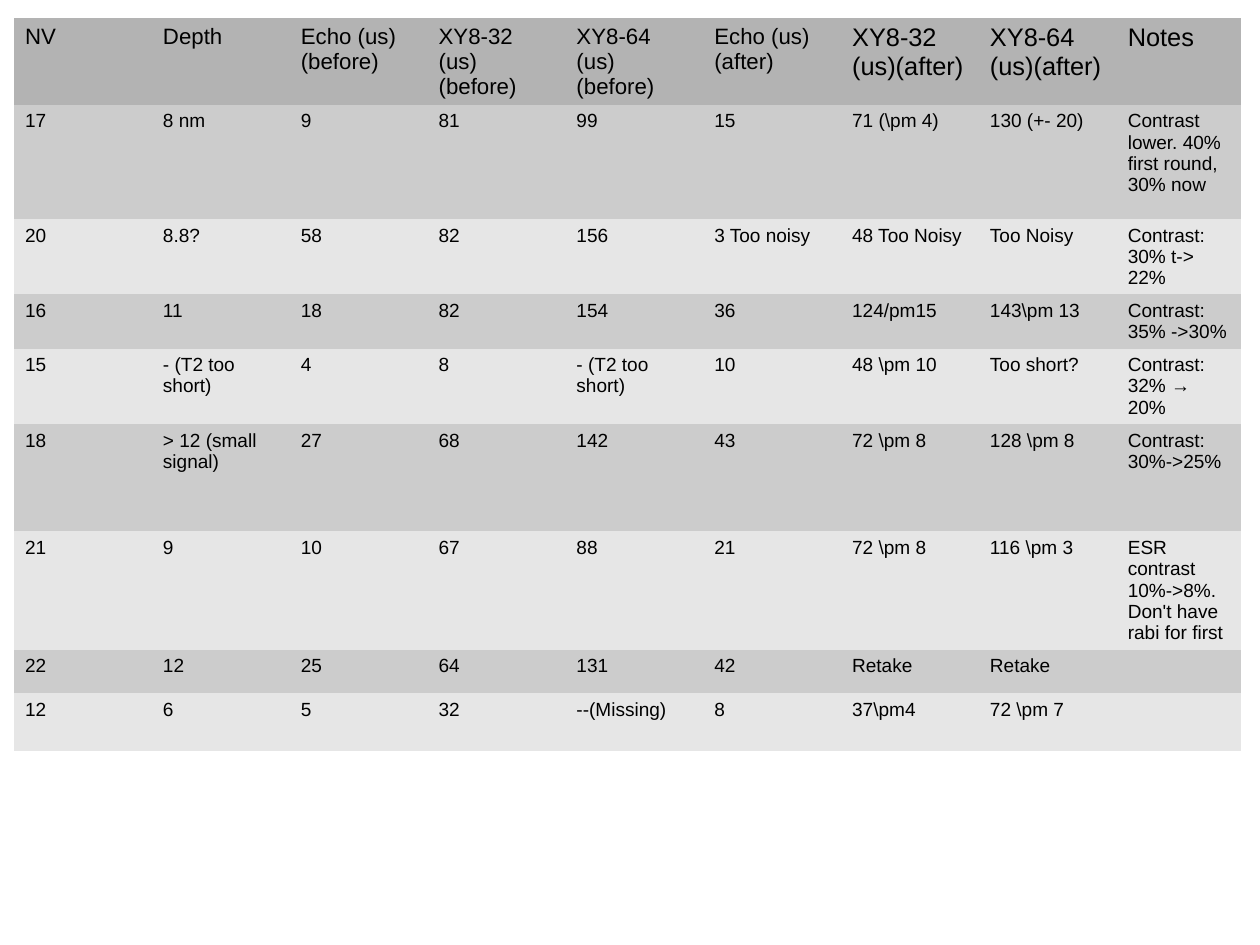
from pptx import Presentation as Deck
from pptx.dml.color import RGBColor as Rgb
from pptx.oxml.ns import qn
from pptx.util import Cm, Inches, Pt

HEADS = ["NV", "Depth", "Echo (us)(before)", "XY8-32 (us)(before)",
         "XY8-64 (us)(before)", "Echo (us)(after)", "XY8-32 (us)(after)",
         "XY8-64 (us)(after)", "Notes"]
SPINS = [
    ["17", "8 nm", "9", "81", "99", "15", r"71 (\pm 4)", "130 (+- 20)",
     "Contrast lower. 40% first round, 30% now"],
    ["20", "8.8?", "58", "82", "156", "3 Too noisy", "48 Too Noisy",
     "Too Noisy", "Contrast: 30% t-> 22%"],
    ["16", "11", "18", "82", "154", "36", "124/pm15", r"143\pm 13",
     "Contrast: 35% ->30%"],
    ["15", "- (T2 too short)", "4", "8", "- (T2 too short)", "10",
     r"48 \pm 10", "Too short?", "Contrast: 32% → 20%"],
    ["18", "> 12 (small signal)", "27", "68", "142", "43", r"72 \pm 8",
     r"128 \pm 8", "Contrast: 30%->25%"],
    ["21", "9", "10", "67", "88", "21", r"72 \pm 8", r"116 \pm 3",
     "ESR contrast 10%->8%. Don't have rabi for first"],
    ["22", "12", "25", "64", "131", "42", "Retake", "Retake", ""],
    ["12", "6", "5", "32", "--(Missing)", "8", r"37\pm4", r"72 \pm 7", ""],
]
WIDE, TALL, LAST = 10.74, 6.43, 1.09
WIDTHS = [(WIDE - LAST) / 8] * 8 + [LAST]
HEIGHTS = [0.67, 1, 0.66, 0.38, 0.66, 0.94, 0.38, 0.38, 0.51]
PLAIN = "{2D5ABB26-0587-4C30-8999-92F81FD0307C}"


def tint(code):
    return Rgb.from_string(code)


class Page:
    """Holds the table style and the current slide."""
    font, ink = "Arial", "000000"
    head, bands = "B3B3B3", ("E6E6E6", "CCCCCC")

    def __init__(self, slide):
        self.slide = slide

    def cell(self, cell, text, size, fill):
        cell.fill.solid()
        cell.fill.fore_color.rgb = tint(fill)
        cell.margin_left = cell.margin_right = Inches(0.1)
        cell.margin_top = Inches(0.05)
        cell.margin_bottom = Inches(0.05 if text else 0)
        cell.text_frame.text = text
        for run in cell.text_frame.paragraphs[0].runs:
            run.font.name = self.font
            run.font.size = Pt(size)
            run.font.color.rgb = tint(self.ink)

    def table(self, left, top, rows, widths, heights):
        frame = self.slide.shapes.add_table(
            len(rows), len(widths), Inches(left), Inches(top),
            Inches(WIDE), Inches(TALL))
        for style in frame.element.iter(qn("a:tableStyleId")):
            style.text = PLAIN
        table = frame.table
        table.first_row = table.horz_banding = False
        for col, width in zip(table.columns, widths):
            col.width = Inches(width)
        for r, texts in enumerate(rows):
            table.rows[r].height = Inches(heights[r])
            fill = self.bands[r % 2] if r else self.head
            for c, text in enumerate(texts):
                size = 12 if r else 14 if c < 6 else 16
                self.cell(table.cell(r, c), text, size, fill)
        frame.height = Inches(TALL)


def main():
    deck = Deck()
    deck.slide_width = Cm(28)
    deck.slide_height = Cm(21)
    page = Page(deck.slides.add_slide(deck.slide_layouts[6]))
    page.table(0.12, 0.16, [HEADS] + SPINS, WIDTHS, HEIGHTS)
    deck.save("out.pptx")


if __name__ == "__main__":
    main()
